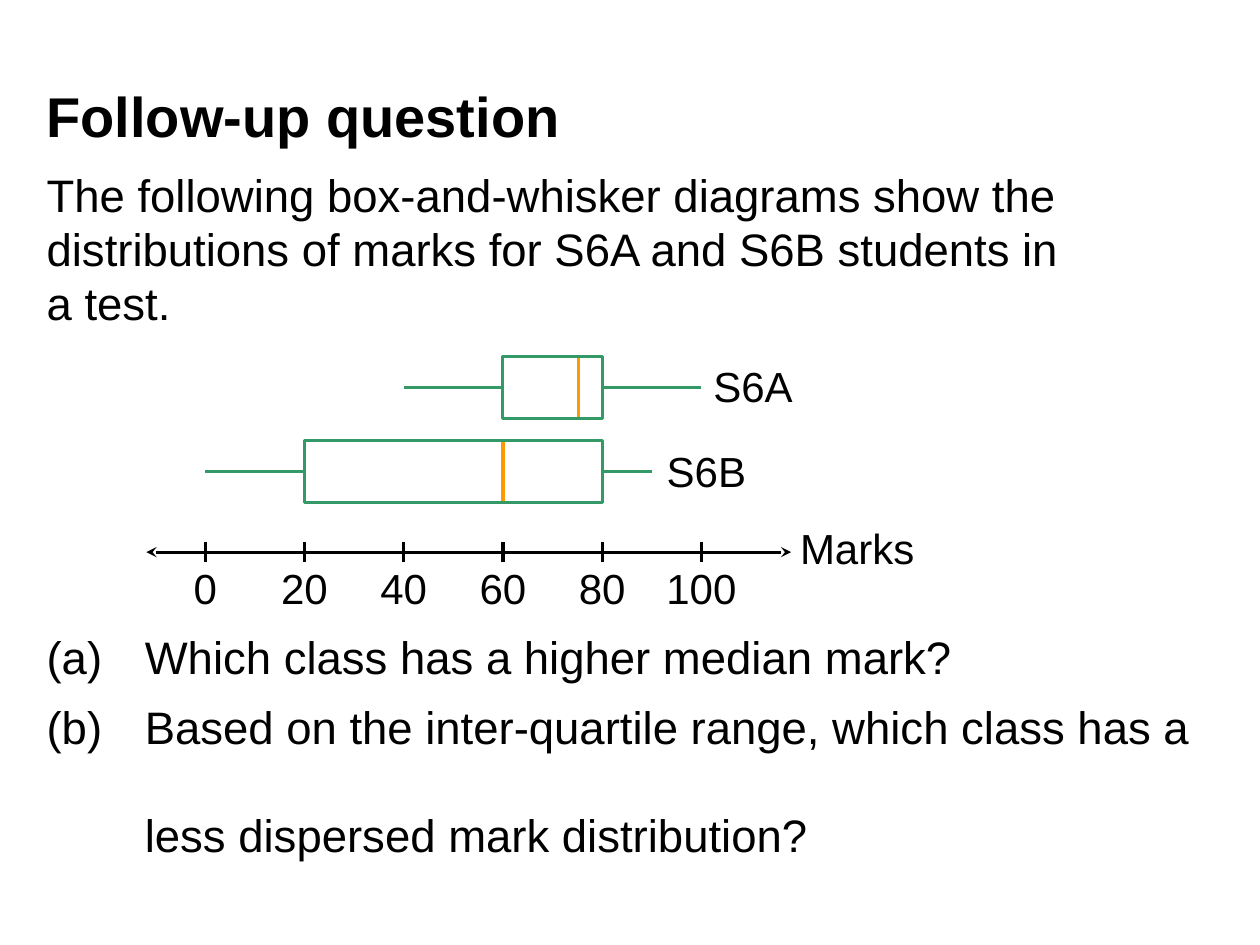
from dataclasses import dataclass

from lxml import etree
from pptx import Presentation
from pptx.dml.color import RGBColor
from pptx.enum.shapes import MSO_CONNECTOR, MSO_SHAPE
from pptx.enum.text import MSO_AUTO_SIZE, PP_ALIGN
from pptx.oxml.ns import qn
from pptx.util import Cm, Pt

STRAIGHT = MSO_CONNECTOR.STRAIGHT
RECTANGLE = MSO_SHAPE.RECTANGLE
GROW = MSO_AUTO_SIZE.SHAPE_TO_FIT_TEXT
LEFT, CENTER = PP_ALIGN.LEFT, PP_ALIGN.CENTER
LEFT_SIDE, RIGHT_SIDE = 1, 3

BLACK, GREEN, ORANGE = "000000", "339966", "FF9900"
LINE_WIDTH = Pt(1.75)
LINE_PITCH = 1.19

# Diagram measures in centimetres
ZERO_X = 4.14
CM_PER_MARK = 0.1
AXIS_Y = 11.13
TICK_HEIGHT = 0.41
BOX_HEIGHT = 1.24
LABEL_WIDTH, LABEL_HEIGHT = 3.99, 1.27
TEXT_LEFT = 0.69
QUESTION_INDENT = 1.98


@dataclass
class BoxPlot:
    name: str
    minimum: float
    lower_quartile: float
    median: float
    upper_quartile: float
    maximum: float
    top: float
    label_x: float
    label_top: float


@dataclass
class TextBlock:
    lines: list[str]
    top: float
    width: float
    height: float
    size: int = 26
    bold: bool = False
    indent: float = 0


BOX_PLOTS = [
    BoxPlot("S6A", 40, 60, 75.3, 80, 100, 7.19, 15.18, 7.14),
    BoxPlot("S6B", 0, 20, 60, 80, 90, 8.89, 14.24, 8.86),
]

TEXT_BLOCKS = [
    TextBlock(["Follow-up question"], 1.52, 12.01, 1.6, size=32, bold=True),
    TextBlock(["The following box-and-whisker diagrams show the distributions "
               "of marks for S6A and S6B students in a test."], 3.25, 21.62, 3.56),
    TextBlock(["(a)\tWhich class has a higher median mark?"],
              12.57, 21.62, 1.35, indent=QUESTION_INDENT),
    TextBlock(["(b)\tBased on the inter-quartile range, which class has a",
               "less dispersed mark distribution?"],
              13.97, 24, 2.49, indent=QUESTION_INDENT),
]


def color(value: str) -> RGBColor:
    return RGBColor.from_string(value)


def mark_x(mark: float) -> float:
    """Horizontal position of a mark on the axis, in centimetres."""
    return ZERO_X + CM_PER_MARK * mark


def add_text(slide, lines, left, top, width, height, size,
             bold=False, align=LEFT, indent=0.0):
    shape = slide.shapes.add_textbox(Cm(left), Cm(top), Cm(width), Cm(height))
    frame = shape.text_frame
    frame.word_wrap = True
    frame.auto_size = GROW
    pitch = Pt(round(size * LINE_PITCH, 1))
    font_format = {"name": "Arial", "size": Pt(size), "bold": bold}
    for index, line in enumerate(lines):
        paragraph = frame.paragraphs[0] if index == 0 else frame.add_paragraph()
        paragraph.alignment = align
        paragraph.line_spacing = pitch
        paragraph.space_before = pitch if index else Pt(0)
        if indent:
            properties = paragraph._p.get_or_add_pPr()
            properties.set("marL", str(Cm(indent)))
            properties.set("indent", str(0 if index else -Cm(indent)))
        run = paragraph.add_run()
        run.text = line
        for name, value in font_format.items():
            setattr(run.font, name, value)
        run.font.color.rgb = color(BLACK)
    return shape


def add_label(slide, text: str, center_x: float, top: float):
    return add_text(slide, [text], center_x - LABEL_WIDTH / 2, top,
                    LABEL_WIDTH, LABEL_HEIGHT, 24, align=CENTER)


def add_line(slide, x1: float, y1: float, x2: float, y2: float, line_color: str):
    line = slide.shapes.add_connector(STRAIGHT, Cm(x1), Cm(y1), Cm(x2), Cm(y2))
    line.line.color.rgb = color(line_color)
    line.line.width = LINE_WIDTH
    etree.SubElement(line._element.spPr, qn("a:effectLst"))
    return line


def draw_axis(slide):
    axis = add_line(slide, 2.95, AXIS_Y, 15.95, AXIS_Y, BLACK)
    for end in ("a:headEnd", "a:tailEnd"):
        etree.SubElement(axis.line._get_or_add_ln(), qn(end), type="stealth")
    for mark in range(0, 101, 20):
        x = mark_x(mark)
        add_line(slide, x, AXIS_Y - TICK_HEIGHT / 2,
                 x, AXIS_Y + TICK_HEIGHT / 2, BLACK)
        add_label(slide, str(mark), x, 11.23)
    add_label(slide, "Marks", 17.28, 10.41)


def draw_box_plot(slide, plot: BoxPlot):
    left, right = mark_x(plot.lower_quartile), mark_x(plot.upper_quartile)
    box = slide.shapes.add_shape(RECTANGLE, Cm(left), Cm(plot.top),
                                 Cm(right - left), Cm(BOX_HEIGHT))
    box.shadow.inherit = False
    box.fill.background()
    box.line.color.rgb = color(GREEN)
    box.line.width = LINE_WIDTH

    middle = plot.top + BOX_HEIGHT / 2
    whiskers = [(plot.minimum, left, LEFT_SIDE), (plot.maximum, right, RIGHT_SIDE)]
    for mark, box_x, side in whiskers:
        whisker = add_line(slide, mark_x(mark), middle, box_x, middle, GREEN)
        whisker.end_connect(box, side)

    median_x = mark_x(plot.median)
    add_line(slide, median_x, plot.top + 0.03,
             median_x, plot.top + BOX_HEIGHT - 0.03, ORANGE)
    add_label(slide, plot.name, plot.label_x, plot.label_top)


def main():
    presentation = Presentation()
    presentation.slide_width, presentation.slide_height = Cm(25.4), Cm(19.05)
    slide = presentation.slides.add_slide(presentation.slide_layouts[6])
    for block in TEXT_BLOCKS:
        add_text(slide, block.lines, TEXT_LEFT, block.top, block.width,
                 block.height, block.size, block.bold, indent=block.indent)
    draw_axis(slide)
    for plot in BOX_PLOTS:
        draw_box_plot(slide, plot)
    presentation.save("out.pptx")


if __name__ == "__main__":
    main()
